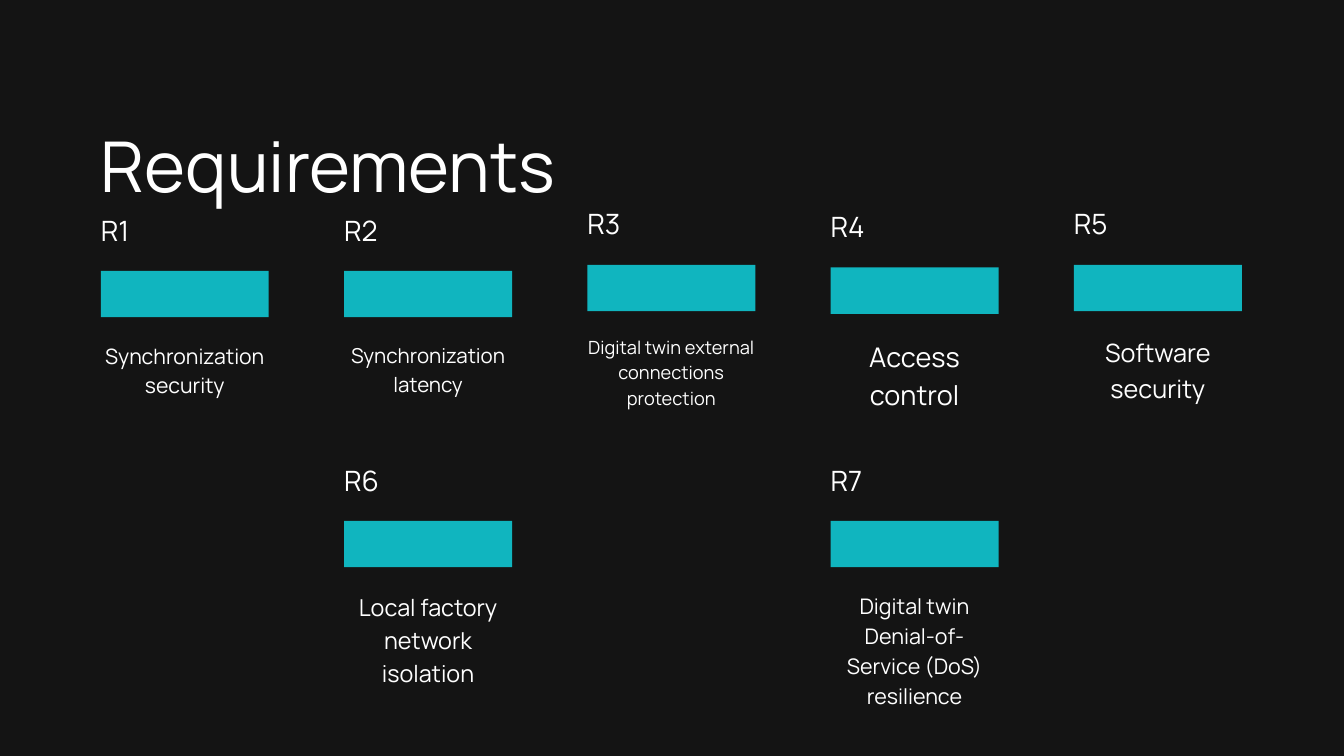
import pptx
import pptx.dml.color
import pptx.enum.shapes
import pptx.enum.text
import pptx.util
from pptx.util import Inches

COLORS = {"background": "141414", "text": "FFFFFF", "bar": "10B5BF"}
FONT = "Manrope"
TITLE = "Requirements"

# label, description, column, top, description size, description height
REQUIREMENTS = [
    ("R1", "Synchronization security", 0, 3.17, 22.7, 0.84),
    ("R2", "Synchronization latency", 1, 3.17, 22, 0.82),
    ("R3", "Digital twin external connections protection", 2, 3.08, 19.5, 1.48),
    ("R4", "Access control", 3, 3.12, 29, 1.08),
    ("R5", "Software security", 4, 3.08, 27, 1.0),
    ("R6", "Local factory network isolation", 1, 6.89, 25, 1.4),
    ("R7", "Digital twin Denial-of-Service (DoS) resilience", 3, 6.89, 23, 1.73),
]

LEFT, COLUMN_STEP, CARD_WIDTH = 1.5, 3.62, 2.5
LABEL_HEIGHT, BAR_HEIGHT = 0.51, 0.69
BAR_OFFSET, DESCRIPTION_OFFSET = 0.86, 1.87


def rgb(name):
    return pptx.dml.color.RGBColor.from_string(COLORS[name])


def write(box, text, size, leading=1.2, align="LEFT"):
    """Fill a box with one paragraph; leading is a multiple of the text size."""
    frame = box.text_frame
    frame.word_wrap = True
    frame.auto_size = pptx.enum.text.MSO_AUTO_SIZE.NONE
    frame.vertical_anchor = pptx.enum.text.MSO_ANCHOR.TOP
    frame.margin_left = frame.margin_right = 0
    frame.margin_top = frame.margin_bottom = 0
    paragraph = frame.paragraphs[0]
    paragraph.text = text
    paragraph.alignment = getattr(pptx.enum.text.PP_ALIGN, align)
    paragraph.line_spacing = pptx.util.Pt(round(size * leading, 1))
    font = paragraph.runs[0].font
    font.name = FONT
    font.size = pptx.util.Pt(size)
    font.color.rgb = rgb("text")


def add_requirement(slide, label, description, column, top, size, height):
    card = slide.shapes.add_group_shape().shapes
    left, width = Inches(LEFT + column * COLUMN_STEP), Inches(CARD_WIDTH)

    heading = card.add_textbox(left, Inches(top), width, Inches(LABEL_HEIGHT))
    write(heading, label, 30)

    bar = card.add_shape(pptx.enum.shapes.MSO_SHAPE.RECTANGLE, left,
                         Inches(top + BAR_OFFSET), width, Inches(BAR_HEIGHT))
    bar.shadow.inherit = False
    bar.fill.solid()
    bar.fill.fore_color.rgb = rgb("bar")
    bar.line.fill.background()

    detail = card.add_textbox(left, Inches(top + DESCRIPTION_OFFSET), width, Inches(height))
    write(detail, description, size, leading=1.4, align="CENTER")


def main():
    deck = pptx.Presentation()
    deck.slide_width, deck.slide_height = Inches(20), Inches(11.25)
    slide = deck.slides.add_slide(deck.slide_layouts.get_by_name("Title Only"))
    slide.background.fill.solid()
    slide.background.fill.fore_color.rgb = rgb("background")

    title = slide.shapes.title
    title.left, title.top = Inches(LEFT), Inches(1.82)
    title.width, title.height = Inches(16.99), Inches(1.26)
    write(title, TITLE, 75)

    for requirement in REQUIREMENTS:
        add_requirement(slide, *requirement)

    deck.save("out.pptx")


if __name__ == "__main__":
    main()
